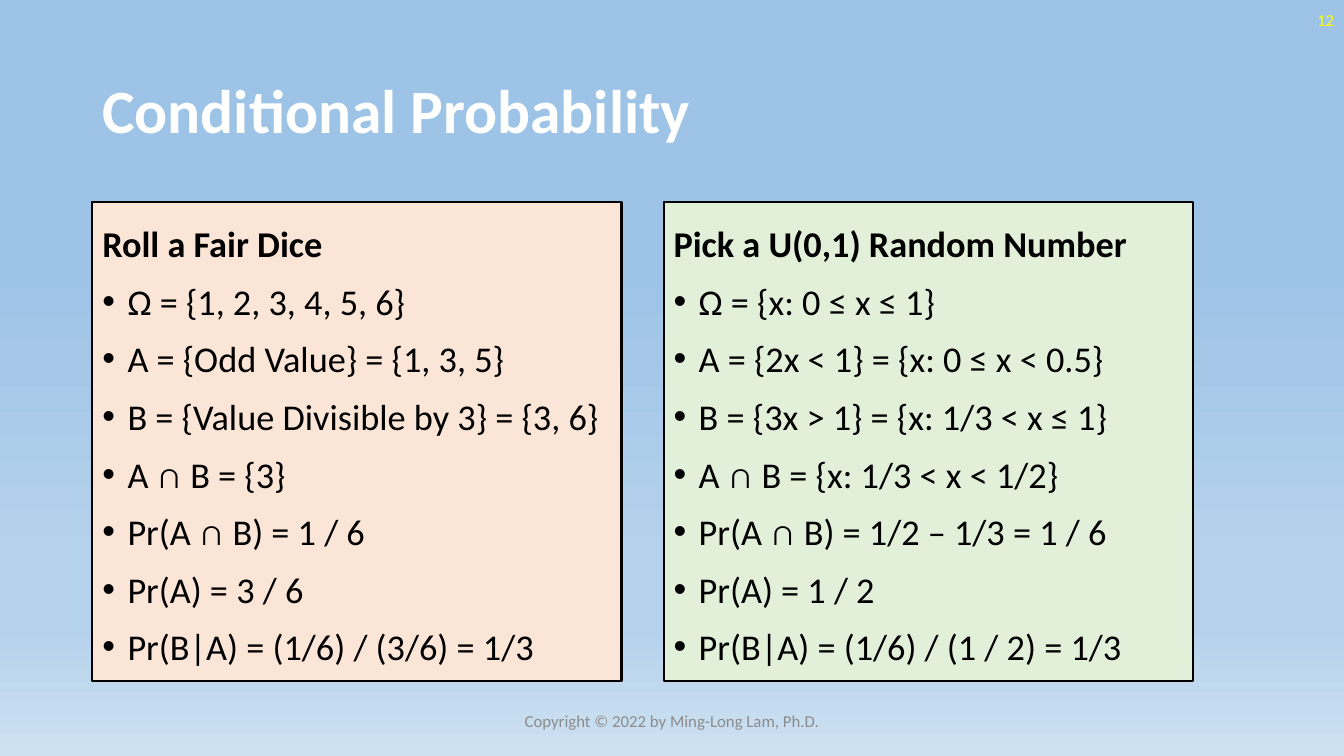
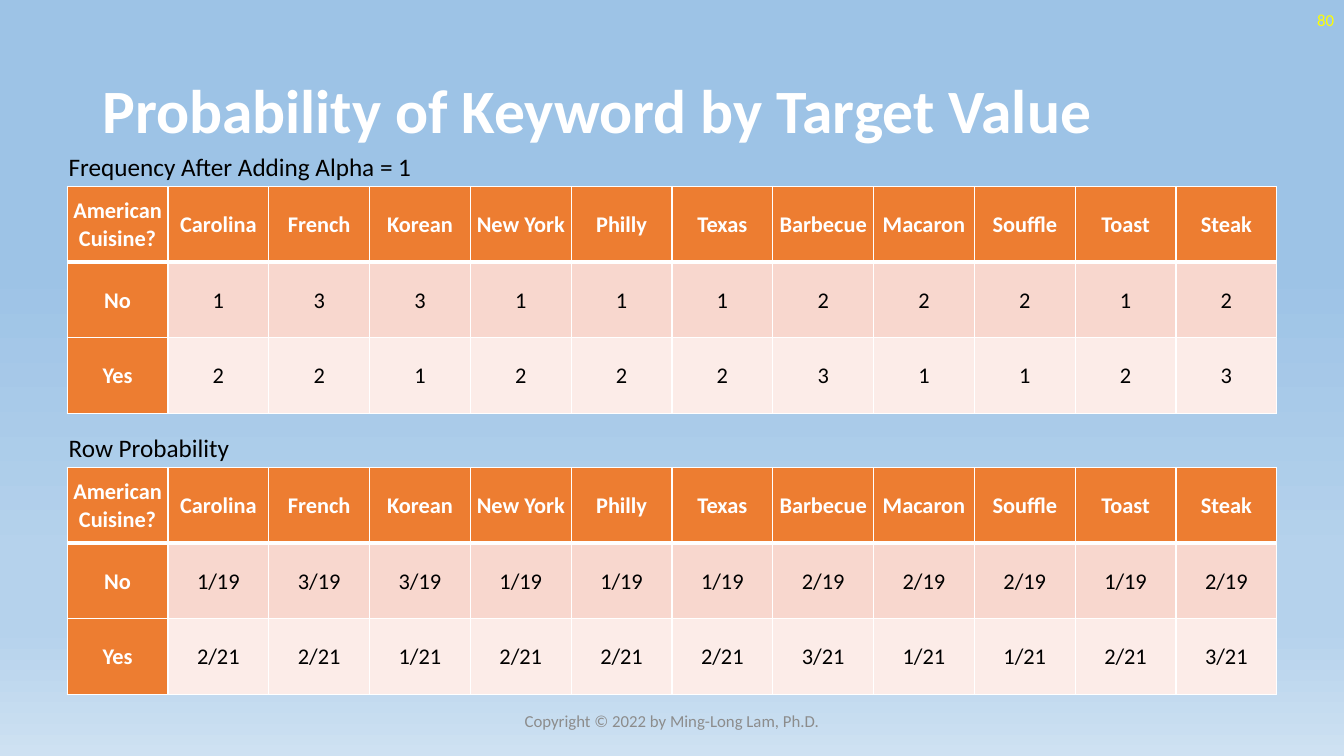
from lxml.etree import SubElement
from pptx import Presentation
from pptx.dml.color import RGBColor
from pptx.enum.shapes import MSO_SHAPE
from pptx.enum.text import MSO_ANCHOR, PP_ALIGN
from pptx.oxml.ns import qn
from pptx.util import Pt

FONT = "Calibri"
COLORS = {
    "white": "FFFFFF", "black": "000000", "yellow": "FFFF00", "gray": "8C8C8C",
    "peach": "FBE5D6", "green": "E2F0D9",
    "orange": "ED7D31", "pink": "F8D7CE", "pale": "FCECE8",
}
SKY = [(35, "9DC3E6"), (74, "B5D2EC"), (83, "B5D2EC"), (100, "CEE1F2")]
WIDTH, HEIGHT = 960, 540
FOOTER = "Copyright © 2022 by Ming-Long Lam, Ph.D."

PANELS = [
    ("peach", "Roll a Fair Dice", [
        "Ω = {1, 2, 3, 4, 5, 6}",
        "A = {Odd Value} = {1, 3, 5}",
        "B = {Value Divisible by 3} = {3, 6}",
        "A ∩ B = {3}",
        "Pr(A ∩ B) = 1 / 6",
        "Pr(A) = 3 / 6",
        "Pr(B|A) = (1/6) / (3/6) = 1/3",
    ]),
    ("green", "Pick a U(0,1) Random Number", [
        "Ω = {x: 0 ≤ x ≤ 1}",
        "A = {2x < 1} = {x: 0 ≤ x < 0.5}",
        "B = {3x > 1} = {x: 1/3 < x ≤ 1}",
        "A ∩ B = {x: 1/3 < x < 1/2}",
        "Pr(A ∩ B) = 1/2 – 1/3 = 1 / 6",
        "Pr(A) = 1 / 2",
        "Pr(B|A) = (1/6) / (1 / 2) = 1/3",
    ]),
]

HEADS = ["American Cuisine?", "Carolina", "French", "Korean", "New York", "Philly",
         "Texas", "Barbecue", "Macaron", "Souffle", "Toast", "Steak"]
COUNTS = {
    "No": [1, 3, 3, 1, 1, 1, 2, 2, 2, 1, 2],
    "Yes": [2, 2, 1, 2, 2, 2, 3, 1, 1, 2, 3],
}
SHARES = {name: [f"{n}/{sum(row)}" for n in row] for name, row in COUNTS.items()}
TABLES = [
    (133.2, "Frequency After Adding Alpha = 1", COUNTS),
    (334, "Row Probability", SHARES),
]


def rgb(name):
    return RGBColor.from_string(COLORS[name])


def style(para, size, color, bold=False, align=PP_ALIGN.LEFT):
    para.alignment = align
    font = para.font
    font.name, font.size, font.bold = FONT, Pt(size), bold
    font.color.rgb = rgb(color)


def add_text(slide, text, box, size, color, bold=False, align=PP_ALIGN.LEFT,
             anchor=MSO_ANCHOR.MIDDLE):
    frame = slide.shapes.add_textbox(*map(Pt, box)).text_frame
    frame.word_wrap, frame.vertical_anchor = True, anchor
    para = frame.paragraphs[0]
    para.text = text
    style(para, size, color, bold, align)
    return para


def paint_sky(master):
    fill = master.background.fill
    fill.gradient()
    fill.gradient_angle = 270
    stops = master.element.find(".//" + qn("p:bg")).find(".//" + qn("a:gsLst"))
    for stop in list(stops):
        stops.remove(stop)
    for place, color in SKY:
        stop = SubElement(stops, qn("a:gs"), pos=str(place * 1000))
        SubElement(stop, qn("a:srgbClr"), val=color)


def add_slide(deck, title, number):
    slide = deck.slides.add_slide(deck.slide_layouts[6])
    head = add_text(slide, title, (66, 28.8, 828, 104.4), 44, "white", True)
    head.line_spacing = 0.9
    add_text(slide, number, (WIDTH - 216, 0, 216, 28.8), 12, "yellow",
             align=PP_ALIGN.RIGHT)
    add_text(slide, FOOTER, ((WIDTH - 324) / 2, 500.4, 324, 28.8), 12, "gray",
             align=PP_ALIGN.CENTER)
    return slide


def add_bullet(para):
    props = para._p.get_or_add_pPr()
    props.set("marL", str(Pt(18)))
    props.set("indent", str(-Pt(18)))
    SubElement(props, qn("a:buFont"), typeface="Arial")
    SubElement(props, qn("a:buChar"), char="•")


def add_panel(slide, left, fill, head, items):
    box = slide.shapes.add_shape(MSO_SHAPE.RECTANGLE, Pt(left), Pt(144), Pt(378), Pt(342.7))
    box.shadow.inherit = False
    box.fill.solid()
    box.fill.fore_color.rgb = rgb(fill)
    box.line.color.rgb = rgb("black")
    box.line.width = Pt(1.5)
    frame = box.text_frame
    frame.word_wrap, frame.vertical_anchor = True, MSO_ANCHOR.MIDDLE
    for i, text in enumerate([head] + items):
        para = frame.add_paragraph() if i else frame.paragraphs[0]
        para.text = text
        para.line_spacing = 1.15
        if i:
            para.space_before = Pt(5.4)
            add_bullet(para)
        style(para, 25.9, "black", bold=i == 0)


def add_border(cell, side, width):
    line = SubElement(cell._tc.get_or_add_tcPr(), qn("a:ln" + side), w=str(Pt(width)))
    fill = SubElement(line, qn("a:solidFill"))
    SubElement(fill, qn("a:srgbClr"), val=COLORS["white"])


def add_grid(slide, top, data):
    rows = [HEADS] + [[name, *row] for name, row in data.items()]
    col, high = 72, 54
    table = slide.shapes.add_table(len(rows), len(HEADS), Pt(48), Pt(top),
                                   Pt(col * len(HEADS)), Pt(high * len(rows))).table
    table.first_col, table.horz_banding = True, False
    for r, row in enumerate(rows):
        for c, value in enumerate(row):
            cell = table.cell(r, c)
            head = r == 0 or c == 0
            thick = {(0, "B"), (1, "T")}
            for side in "LRTB":
                add_border(cell, side, 3 if (r, side) in thick else 1)
            cell.fill.solid()
            cell.fill.fore_color.rgb = rgb("orange" if head else ("pink", "pale")[r - 1])
            cell.vertical_anchor = MSO_ANCHOR.MIDDLE
            cell.margin_left = cell.margin_right = cell.margin_top = Pt(0.72)
            cell.margin_bottom = 0
            para = cell.text_frame.paragraphs[0]
            para.text = str(value)
            style(para, 16, "white" if head else "black", head, PP_ALIGN.CENTER)


def main():
    deck = Presentation()
    deck.slide_width, deck.slide_height = Pt(WIDTH), Pt(HEIGHT)
    paint_sky(deck.slide_master)

    slide = add_slide(deck, "Conditional Probability", "12")
    for i, panel in enumerate(PANELS):
        add_panel(slide, 66 + i * 408, *panel)

    slide = add_slide(deck, "Probability of Keyword by Target Value", "80")
    for top, label, data in TABLES:
        add_grid(slide, top, data)
        add_text(slide, label, (42, top - 28.8, 280, 28.8), 18, "black",
                 anchor=MSO_ANCHOR.TOP)

    deck.save("out.pptx")


if __name__ == "__main__":
    main()
